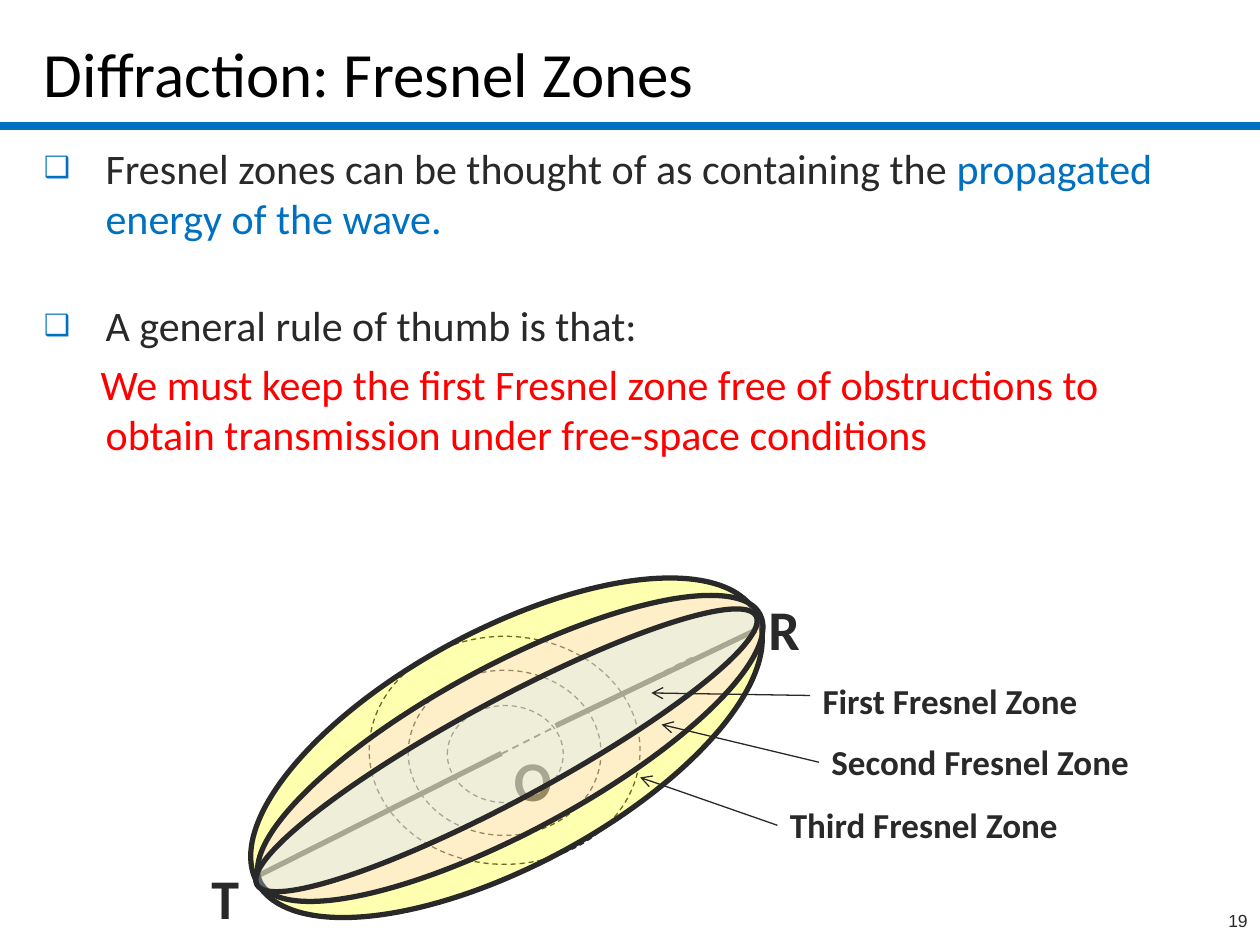
import pptx
import pptx.util
import pptx.dml.color
import pptx.enum.dml
import pptx.enum.shapes
import pptx.enum.text
import pptx.oxml
import pptx.oxml.ns
from lxml import etree

COLORS = {"ink": "292929", "black": "000000", "blue": "0070C0", "red": "FF0000",
          "third": "FFFF00", "second": "FFCCFF", "first": "CCECFF"}
WIDTH, HEIGHT = pptx.util.Inches(10), pptx.util.Inches(7.5)
DASH = pptx.enum.dml.MSO_LINE.DASH
ALIGN = pptx.enum.text.PP_ALIGN
ANCHOR = pptx.enum.text.MSO_ANCHOR
SHAPE = pptx.enum.shapes.MSO_SHAPE
STRAIGHT = pptx.enum.shapes.MSO_CONNECTOR.STRAIGHT

LABEL = {"size": pptx.util.Pt(20), "bold": True}
LETTER = {"size": pptx.util.Pt(32), "bold": True}
BODY = {"size": pptx.util.Pt(24)}


def rgb(color):
    return pptx.dml.color.RGBColor.from_string(COLORS[color])


def place(*shares):
    """Turn alternating x and y percentages of the slide into lengths."""
    return [round((HEIGHT if i % 2 else WIDTH) * share / 100)
            for i, share in enumerate(shares)]


def child(parent, tag, **attributes):
    element = etree.SubElement(parent, pptx.oxml.ns.qn(tag))
    for name, value in attributes.items():
        element.set(name, value)
    return element


def format_line(line, width, color="ink", dash=None):
    line.color.rgb = rgb(color)
    for name, value in {"width": pptx.util.Pt(width), "dash_style": dash}.items():
        setattr(line, name, value)


def add_run(p, text, color, font):
    r = p.add_run()
    r.text = text
    r.font.color.rgb = rgb(color)
    for name, value in {"name": "Calibri", **font}.items():
        setattr(r.font, name, value)


def add_frame(s, box, anchor=ANCHOR.TOP):
    sp = s.shapes.add_textbox(*place(*box))
    sp.text_frame.word_wrap = True
    sp.text_frame.vertical_anchor = anchor
    return sp


def add_text(s, box, text, font, color="ink", align=ALIGN.LEFT, anchor=ANCHOR.TOP):
    sp = add_frame(s, box, anchor)
    p = sp.text_frame.paragraphs[0]
    p.alignment = align
    add_run(p, text, color, font)
    return sp


def add_line(s, start, end, width, color="ink", dash=None):
    line = s.shapes.add_connector(STRAIGHT, *place(*start, *end))
    format_line(line.line, width, color, dash)
    child(line._element.spPr, "a:effectLst")
    return line


def add_ellipse(s, center, size, width, dash=None, fill=None, rotation=0):
    """Draw an ellipse about its center; a fill is 31% opaque."""
    (x, y), (w, h) = center, size
    sp = s.shapes.add_shape(SHAPE.OVAL, *place(x - w / 2, y - h / 2, w, h))
    sp.shadow.inherit = False
    sp.rotation = rotation
    format_line(sp.line, width, dash=dash)
    if fill:
        sp.fill.solid()
        sp.fill.fore_color.rgb = rgb(fill)
        solid = sp._element.spPr.find(pptx.oxml.ns.qn("a:solidFill"))
        child(solid[0], "a:alpha", val="31000")
    else:
        sp.fill.background()


def add_callout(s, box, text, tip):
    """Add a label with an arrow from its left side to the tip."""
    label = add_text(s, box, text, LABEL)
    x, y, _, h = box
    arrow = add_line(s, (x, y + h / 2), tip, 0.75)
    arrow.begin_connect(label, 1)
    child(arrow.line._get_or_add_ln(), "a:tailEnd", type="arrow")


def add_body(s, box, paragraphs):
    """Add hanging paragraphs of (space before, first indent, bulleted, runs)."""
    tf = add_frame(s, box).text_frame
    for i, (space, first, bulleted, runs) in enumerate(paragraphs):
        p = tf.add_paragraph() if i else tf.paragraphs[0]
        p.space_before = pptx.util.Pt(space)
        pPr = p._p.get_or_add_pPr()
        pPr.set("marL", str(pptx.util.Inches(0.49)))
        pPr.set("indent", str(pptx.util.Inches(first)))
        if bulleted:
            child(child(pPr, "a:buClr"), "a:srgbClr", val=COLORS["blue"])
            child(pPr, "a:buSzPct", val="70000")
            child(pPr, "a:buFont", typeface="Arial")
            child(pPr, "a:buChar", char="❑")
        for text, color in runs:
            add_run(p, text, color, BODY)


def add_zones(s):
    add_line(s, (20.1, 92.93), (39.8, 79.73), 3)
    add_line(s, (44.1, 76.8), (60, 66.67), 3)
    add_line(s, (35.5, 82.67), (55.1, 69.47), 1, dash=DASH)
    for letter, x, y in [("T", 15.8, 90.67), ("R", 60, 62.27), ("O", 39.8, 78.27)]:
        add_text(s, (x, y, 3.7, 5.6), letter, LETTER)
    for center, size in [((40.1, 79.8), (9.2, 10.27)),
                         ((40.05, 79.67), (15.3, 17.47)),
                         ((40.05, 79.4), (21.5, 24.13))]:
        add_ellipse(s, center, size, 0.75, dash=DASH)
    for fill, center, height in [("third", (40.2, 79.13), 24.93),
                                 ("second", (40.5, 79.2), 17.6),
                                 ("first", (40.2, 79.4), 10.53)]:
        add_ellipse(s, center, (45, height), 3, fill=fill, rotation=331.7)
    for name, box, tip in [("First", (64.3, 71.2, 33.2, 4.8), (51.7, 73.33)),
                           ("Second", (65, 77.73, 35, 5.87), (52.5, 76.67)),
                           ("Third", (61.7, 84.4, 38.3, 5.87), (50.8, 82.27))]:
        add_callout(s, box, f"{name} Fresnel Zone", tip)


def main():
    prs = pptx.Presentation()
    prs.slide_width, prs.slide_height = WIDTH, HEIGHT
    s = prs.slides.add_slide(prs.slide_layouts[6])
    add_line(s, (0, 13.33), (100, 13.33), 5, "blue")
    add_text(s, (2.5, 1.47, 95, 10.8), "Diffraction: Fresnel Zones",
             {"size": pptx.util.Pt(36)}, "black", anchor=ANCHOR.BOTTOM)
    add_text(s, (79.2, 95.6, 20.8, 4.4), "19",
             {"name": "Arial", "size": pptx.util.Pt(10)}, align=ALIGN.RIGHT)
    add_body(s, (2.5, 14.4, 95, 39.33), [
        (4.8, -0.49, True,
         [("Fresnel zones can be thought of as containing the ", "ink"),
          ("propagated energy of the wave.", "blue")]),
        (32.4, -0.49, True, [("A general rule of thumb is that:", "ink")]),
        (4.8, -0.04, False,
         [("We must keep the first Fresnel zone free of obstructions to obtain "
           "transmission under free-space conditions", "red")])])
    add_zones(s)
    prs.save("out.pptx")


if __name__ == "__main__":
    main()
